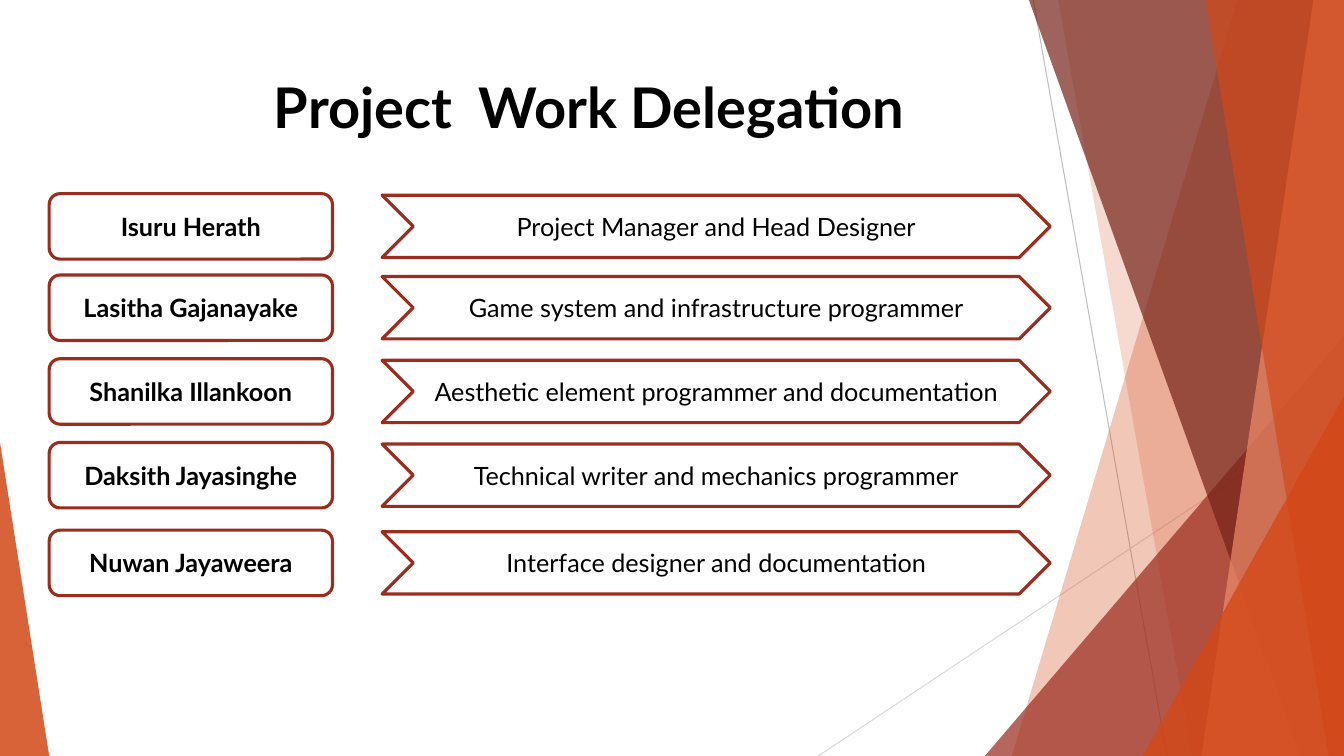
"""Build the project work delegation slide."""
from lxml.etree import SubElement
from pptx import Presentation
from pptx.dml.color import RGBColor
from pptx.enum.shapes import MSO_CONNECTOR as Connector, MSO_SHAPE as Preset
from pptx.enum.text import MSO_ANCHOR as Anchor, MSO_AUTO_SIZE as AutoSize, PP_ALIGN as Align
from pptx.oxml.ns import qn
from pptx.util import Cm, Pt

WIDTH, HEIGHT = 33.87, 19.05
COLORS = {
    "text": "000000", "outline": "9B2D1F", "orange": "D34817", "salmon": "EF8C6A",
    "maroon": "742217", "gray": "BFBFBF", "light gray": "D9D9D9",
}
TITLE = "Project  Work Delegation"
TITLE_BOX = (2.9, 1.7, 23.88, 3.66)
MEMBERS = [
    (4.88, "Isuru Herath", "Project Manager and Head Designer"),
    (6.93, "Lasitha Gajanayake", "Game system and infrastructure programmer"),
    (9.04, "Shanilka Illankoon", "Aesthetic element programmer and documentation"),
    (11.15, "Daksith Jayasinghe", "Technical writer and mechanics programmer"),
    (13.36, "Nuwan Jayaweera", "Interface designer and documentation"),
]
NAME_LEFT, NAME_WIDTH, NAME_HEIGHT = 1.24, 7.14, 1.65
ROLE_LEFT, ROLE_WIDTH, ROLE_HEIGHT = 9.63, 16.84, 1.57
RAYS = [
    ((26.04, 0), (29.41, HEIGHT), "gray"),
    ((WIDTH, 10.24), (20.62, HEIGHT), "light gray"),
]
FACETS = [
    {"band": (31.19, 25.5), "color": "orange", "opacity": 30},
    {"band": (26.67, 30.05), "color": "orange", "opacity": 20},
    {"triangle": (24.82, 8.46, 9.05), "apex": 1, "color": "outline", "opacity": 72},
    {"band": (25.93, 32.79), "color": "maroon", "opacity": 70},
    {"band": (33.1, 30.28), "color": "salmon", "opacity": 70},
    {"band": (30.38, 33.48), "color": "orange", "opacity": 65},
    {"triangle": (28.8, 9.98, 5.07), "apex": 1, "color": "orange", "opacity": 80},
    {"triangle": (0, 11.15, 1.24), "apex": 0, "color": "orange", "opacity": 85},
]


def rgb(name):
    return RGBColor.from_string(COLORS[name])


def write_text(shape, text, size=18, bold=False, anchor=Anchor.MIDDLE):
    frame = shape.text_frame
    frame.word_wrap = True
    frame.auto_size = AutoSize.NONE
    frame.vertical_anchor = anchor
    paragraph = frame.paragraphs[0]
    paragraph.alignment = Align.CENTER
    run = paragraph.add_run()
    run.text = text
    run.font.name = "Lato"
    run.font.size = Pt(size)
    run.font.bold = bold
    run.font.color.rgb = rgb("text")


def add_ray(slide, start, end, color):
    ray = slide.shapes.add_connector(Connector.STRAIGHT, *map(Cm, start + end))
    ray.line.color.rgb = rgb(color)
    ray.line.width = Pt(0.75)
    SubElement(ray.element.spPr, qn("a:effectLst"))


def add_facet(slide, facet):
    if "band" in facet:
        top, bottom = facet["band"]
        builder = slide.shapes.build_freeform(Cm(top), 0)
        corners = [(WIDTH, 0), (WIDTH, HEIGHT), (bottom, HEIGHT)]
        builder.add_line_segments([(Cm(x), Cm(y)) for x, y in corners])
        shape = builder.convert_to_shape()
    else:
        left, top, width = facet["triangle"]
        shape = slide.shapes.add_shape(
            Preset.ISOSCELES_TRIANGLE, Cm(left), Cm(top), Cm(width), Cm(HEIGHT - top))
        shape.adjustments[0] = facet["apex"]
    shape.shadow.inherit = False
    shape.line.fill.background()
    shape.fill.solid()
    shape.fill.fore_color.rgb = rgb(facet["color"])
    color = shape.element.spPr.find(qn("a:solidFill"))[0]
    SubElement(color, qn("a:alpha"), val=str(facet["opacity"] * 1000))


def add_label(slide, preset, box, text, **style):
    shape = slide.shapes.add_shape(preset, *map(Cm, box))
    shape.shadow.inherit = False
    shape.fill.background()
    shape.line.color.rgb = rgb("outline")
    shape.line.width = Pt(2.25)
    write_text(shape, text, **style)


presentation = Presentation()
presentation.slide_width, presentation.slide_height = Cm(WIDTH), Cm(HEIGHT)
slide = presentation.slides.add_slide(presentation.slide_layouts[5])

title = slide.shapes.title
title.left, title.top, title.width, title.height = map(Cm, TITLE_BOX)
write_text(title, TITLE, size=40, bold=True, anchor=Anchor.TOP)

for start, end, color in RAYS:
    add_ray(slide, start, end, color)
for facet in FACETS:
    add_facet(slide, facet)

for top, name, role in MEMBERS:
    role_top = top + (NAME_HEIGHT - ROLE_HEIGHT) / 2
    add_label(slide, Preset.ROUNDED_RECTANGLE,
              (NAME_LEFT, top, NAME_WIDTH, NAME_HEIGHT), name, bold=True)
    add_label(slide, Preset.CHEVRON,
              (ROLE_LEFT, role_top, ROLE_WIDTH, ROLE_HEIGHT), role)

presentation.save("out.pptx")
